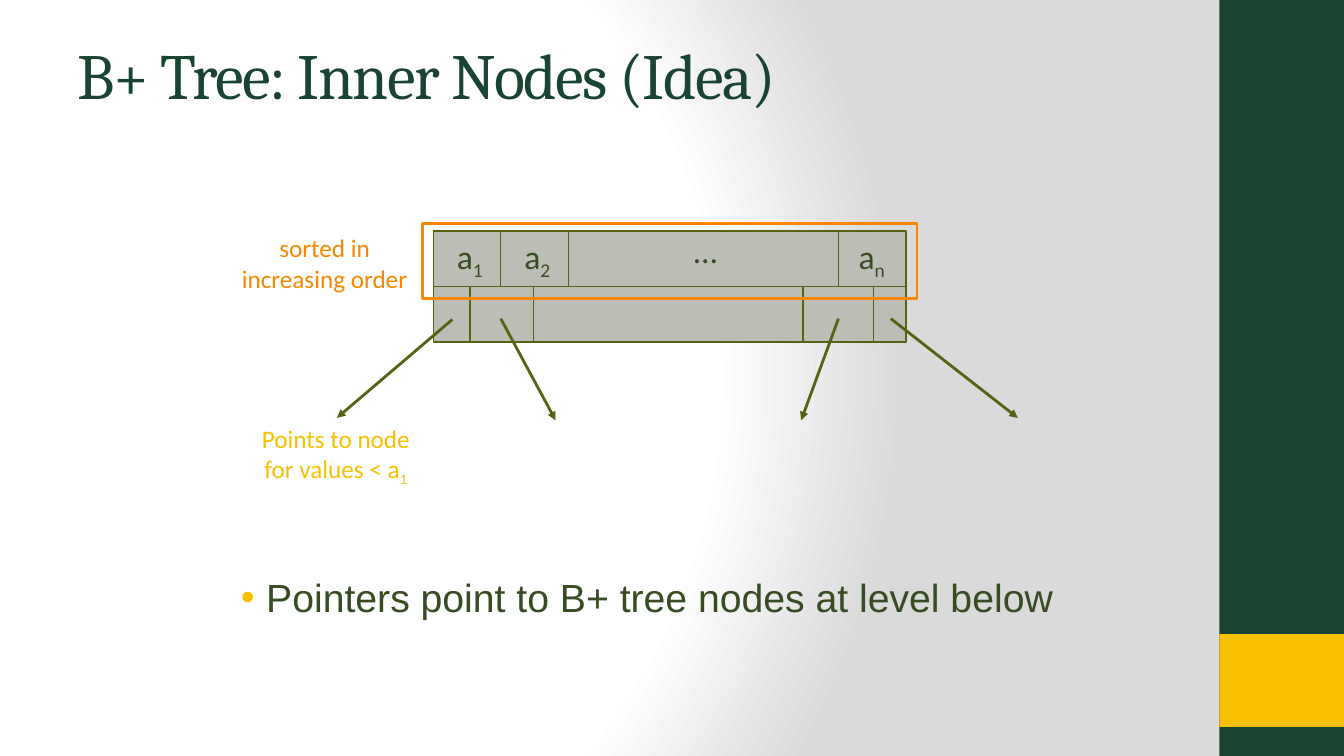
from lxml import etree
from pptx import Presentation
from pptx.dml.color import RGBColor
from pptx.enum.shapes import MSO_CONNECTOR, MSO_SHAPE
from pptx.enum.text import MSO_ANCHOR, MSO_AUTO_SIZE, PP_ALIGN
from pptx.oxml import parse_xml
from pptx.oxml.ns import nsdecls, qn
from pptx.util import Cm, Pt

RECTANGLE = MSO_SHAPE.RECTANGLE
STRAIGHT = MSO_CONNECTOR.STRAIGHT
LEFT, CENTER = PP_ALIGN.LEFT, PP_ALIGN.CENTER
TOP = MSO_ANCHOR.TOP
GROW, FIXED = MSO_AUTO_SIZE.SHAPE_TO_FIT_TEXT, MSO_AUTO_SIZE.NONE

GREEN, YELLOW, ORANGE = "194431", "F8C000", "F88600"
BODY, NODE_FILL, NODE_LINE, ARROW = "374C22", "BCBEB5", "576213", "586215"

# Content: each paragraph is (text, subscript); lengths are in cm
SLIDE_WIDTH, SLIDE_HEIGHT = 33.87, 19.05
TITLE = "B+ Tree: Inner Nodes (Idea)"
BULLET = "Pointers point to B+ tree nodes at level below"
SORTED_NOTE = [("sorted in", ""), ("increasing order", "")]
POINTER_NOTE = [("Points to node\vfor values < a", "1")]

SIDEBAR_LEFT = 30.73
NODE_LEFT, NODE_TOP, NODE_WIDTH, ROW_HEIGHT = 10.92, 5.82, 11.91, 1.4
KEY_DIVIDERS = [12.62, 14.33, 21.13]
POINTER_DIVIDERS = [11.84, 13.44, 20.24, 22.02]
KEYS = [("a", "1", 11.84), ("a", "2", 13.54), ("a", "n", 21.97)]
KEY_WIDTH, KEY_HEIGHT = 1.22, 1.27
POINTERS = [
    ((11.4, 8.05), (8.49, 10.53)),
    ((12.62, 8.03), (14.0, 10.59)),
    ((21.13, 8.03), (20.19, 10.59)),
    ((22.45, 8.03), (25.65, 10.53)),
]


def color(hex_code):
    return RGBColor.from_string(hex_code)


def format_runs(paragraph, size, font, ink):
    for run in paragraph.runs:
        run.font.size = Pt(size)
        run.font.name = font
        run.font.color.rgb = color(ink)


def add_text(slide, paragraphs, left, top, width, height, *, size=24,
             font="Calibri", ink=BODY, align=CENTER, wrap=False, bullet=None):
    """Add a text box; a bullet colour turns its paragraphs into list items."""
    box = slide.shapes.add_textbox(Cm(left), Cm(top), Cm(width), Cm(height))
    frame = box.text_frame
    frame.word_wrap = wrap
    frame.auto_size = FIXED if wrap else GROW
    for index, (words, subscript) in enumerate(paragraphs):
        paragraph = frame.add_paragraph() if index else frame.paragraphs[0]
        paragraph.text = words
        paragraph.alignment = align
        if subscript:
            run = paragraph.add_run()
            run.text = subscript
            run.font._element.set("baseline", "-25000")
        if bullet:
            properties = paragraph._p.get_or_add_pPr()
            properties.set("marL", str(Cm(0.95)))
            properties.set("indent", str(Cm(-0.64)))
            bullet_color = etree.SubElement(properties, qn("a:buClr"))
            etree.SubElement(bullet_color, qn("a:srgbClr"), val=bullet)
            etree.SubElement(properties, qn("a:buFont"), typeface="Arial")
            etree.SubElement(properties, qn("a:buChar"), char="•")
        format_runs(paragraph, size, font, ink)


def add_box(slide, left, top, width, height, fill=None, line=None, weight=1):
    box = slide.shapes.add_shape(RECTANGLE, Cm(left), Cm(top), Cm(width), Cm(height))
    box.shadow.inherit = False
    if fill:
        box.fill.solid()
        box.fill.fore_color.rgb = color(fill)
    else:
        box.fill.background()
    if line:
        box.line.color.rgb = color(line)
        box.line.width = Pt(weight)
    else:
        box.line.fill.background()


def add_line(slide, start, end, ink=NODE_LINE, weight=1, arrow=False):
    line = slide.shapes.add_connector(STRAIGHT, *map(Cm, start + end))
    line.line.color.rgb = color(ink)
    line.line.width = Pt(weight)
    if arrow:
        etree.SubElement(line.line._get_or_add_ln(), qn("a:tailEnd"), type="triangle")
    etree.SubElement(line._element.spPr, qn("a:effectLst"))


def set_background(slide):
    """Fill the background with a circular gradient from white to grey."""
    slide.background.fill.solid()
    properties = slide._element.cSld.find(qn("p:bg")).find(qn("p:bgPr"))
    stops = "".join(
        f'<a:gs pos="{position}"><a:srgbClr val="{shade}"/></a:gs>'
        for position, shade in [(0, "FFFFFF"), (75000, "FFFFFF"), (100000, "DADADA")])
    gradient = parse_xml(
        f'<a:gradFill {nsdecls("a")} rotWithShape="1"><a:gsLst>{stops}</a:gsLst>'
        '<a:path path="circle"><a:fillToRect l="20000" t="50000" r="100000" b="50000"/>'
        '</a:path></a:gradFill>')
    properties.replace(properties.find(qn("a:solidFill")), gradient)


def set_title(slide):
    title = slide.shapes.title
    title.left, title.top, title.width, title.height = map(Cm, (1.7, 0.91, 28.22, 3.18))
    frame = title.text_frame
    frame.text = TITLE
    frame.vertical_anchor = TOP
    frame.auto_size = FIXED
    heading = frame.paragraphs[0]
    heading.alignment = LEFT
    heading.line_spacing = 0.95
    format_runs(heading, 46, "Cambria", GREEN)
    heading.runs[0].font._element.set("spc", "-100")


def draw_node(slide):
    middle = NODE_TOP + ROW_HEIGHT
    bottom = middle + ROW_HEIGHT
    add_box(slide, NODE_LEFT, NODE_TOP, NODE_WIDTH, 2 * ROW_HEIGHT, NODE_FILL, NODE_LINE)
    add_line(slide, (NODE_LEFT, middle), (NODE_LEFT + NODE_WIDTH, middle))
    for dividers, top, end in [(KEY_DIVIDERS, NODE_TOP, middle),
                               (POINTER_DIVIDERS, middle, bottom)]:
        for x in dividers:
            add_line(slide, (x, end), (x, top))
    for letter, subscript, center in KEYS:
        add_text(slide, [(letter, subscript)], center - KEY_WIDTH / 2, NODE_TOP,
                 KEY_WIDTH, KEY_HEIGHT)
    for start, end in POINTERS:
        add_line(slide, start, end, ARROW, 2, arrow=True)


def main():
    deck = Presentation()
    deck.slide_width, deck.slide_height = Cm(SLIDE_WIDTH), Cm(SLIDE_HEIGHT)
    slide = deck.slides.add_slide(deck.slide_layouts[5])
    set_background(slide)
    sidebar_width = SLIDE_WIDTH - SIDEBAR_LEFT
    add_box(slide, SIDEBAR_LEFT, 0, sidebar_width, SLIDE_HEIGHT, GREEN)
    add_box(slide, SIDEBAR_LEFT, 15.98, sidebar_width, 2.34, YELLOW)
    set_title(slide)
    add_text(slide, [(BULLET, "")], 5.51, 14.33, 22.86, 3.6, size=28, font="Arial",
             align=LEFT, wrap=True, bullet=YELLOW)
    draw_node(slide)
    add_text(slide, POINTER_NOTE, 6.32, 10.54, 4.29, 1.8, size=18, ink=YELLOW)
    add_box(slide, 10.64, 5.64, 12.47, 1.88, line=ORANGE, weight=2)
    add_text(slide, SORTED_NOTE, 5.82, 5.74, 4.72, 1.8, size=18, ink=ORANGE)
    add_text(slide, [("…", "")], 17.22, 5.66, 1.12, KEY_HEIGHT)
    deck.save("out.pptx")


if __name__ == "__main__":
    main()
